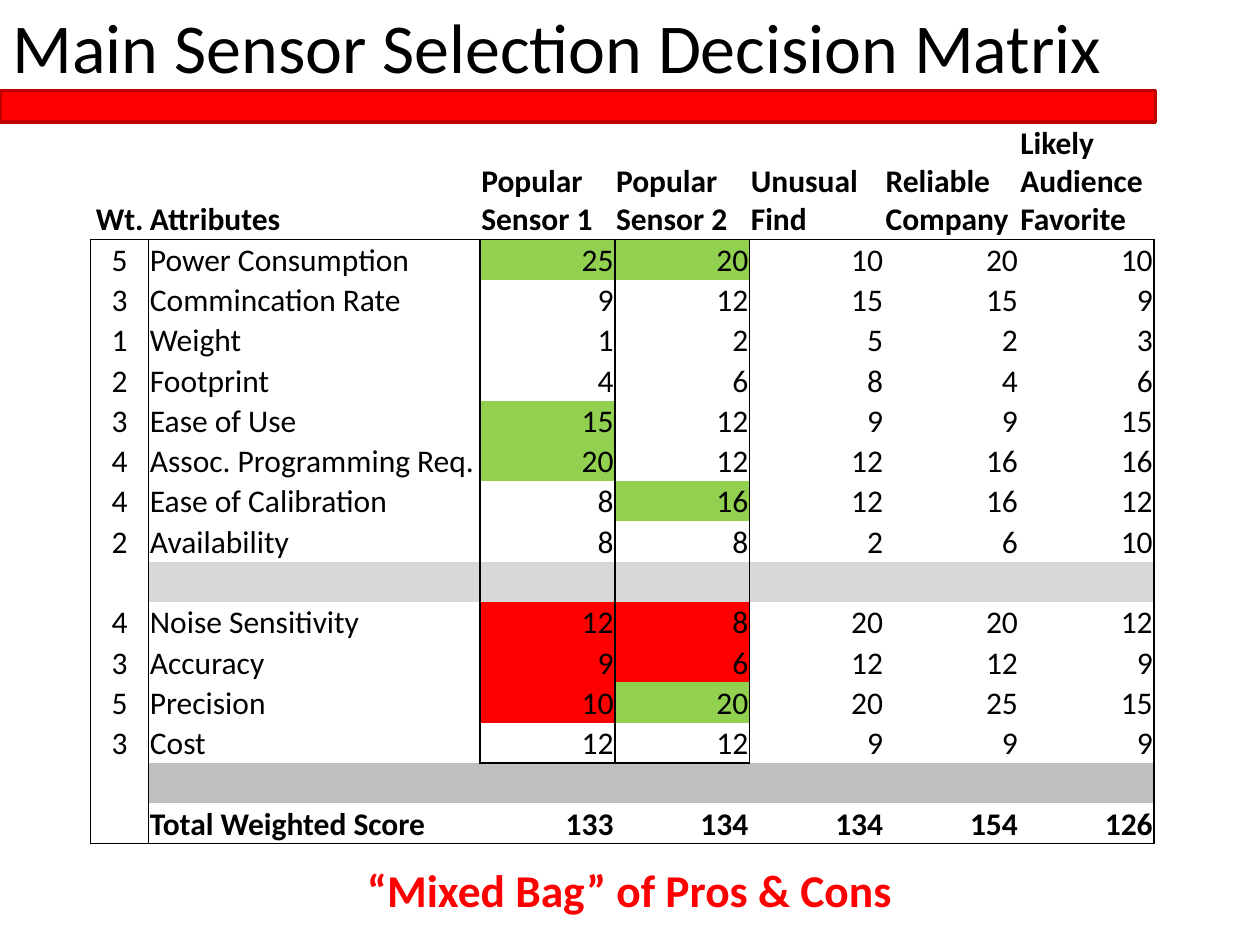
import pptx
import pptx.dml.color
import pptx.enum.shapes
import pptx.enum.text
import pptx.oxml
import pptx.oxml.ns
import pptx.util
from pptx.util import Inches

BLACK = pptx.dml.color.RGBColor(0x00, 0x00, 0x00)
RED = pptx.dml.color.RGBColor(0xFF, 0x00, 0x00)
DARK_RED = pptx.dml.color.RGBColor(0xC0, 0x00, 0x00)
GREEN = pptx.dml.color.RGBColor(0x92, 0xD0, 0x50)
LIGHT_GRAY = pptx.dml.color.RGBColor(0xD8, 0xD8, 0xD8)
GRAY = pptx.dml.color.RGBColor(0xBF, 0xBF, 0xBF)
ALIGN = pptx.enum.text.PP_ALIGN
ANCHOR = pptx.enum.text.MSO_ANCHOR

BLANK = ("",) * 7
MATRIX = [
    ("Wt.", "Attributes", "Popular Sensor 1", "Popular Sensor 2",
     "Unusual Find", "Reliable Company", "Likely Audience Favorite"),
    (5, "Power Consumption", 25, 20, 10, 20, 10),
    (3, "Commincation Rate", 9, 12, 15, 15, 9),
    (1, "Weight", 1, 2, 5, 2, 3),
    (2, "Footprint", 4, 6, 8, 4, 6),
    (3, "Ease of Use", 15, 12, 9, 9, 15),
    (4, "Assoc. Programming Req.", 20, 12, 12, 16, 16),
    (4, "Ease of Calibration", 8, 16, 12, 16, 12),
    (2, "Availability", 8, 8, 2, 6, 10),
    BLANK,
    (4, "Noise Sensitivity", 12, 8, 20, 20, 12),
    (3, "Accuracy", 9, 6, 12, 12, 9),
    (5, "Precision", 10, 20, 20, 25, 15),
    (3, "Cost", 12, 12, 9, 9, 9),
    BLANK,
    ("", "Total Weighted Score", 133, 134, 134, 154, 126),
]
COLUMN_WIDTHS = [0.46, 2.63] + [1.07] * 5
ROW_HEIGHTS = [0.98] + [0.32] * 15
COST_ROW = 13
LAST_ROW = len(MATRIX) - 1
SENSOR_COLUMNS = (2, 3)

HIGHLIGHTS = {cell: GREEN for cell in [(1, 2), (1, 3), (5, 2), (6, 2), (7, 3), (12, 3)]}
HIGHLIGHTS.update({cell: RED for cell in [(10, 2), (10, 3), (11, 2), (11, 3), (12, 2)]})
for separator, shade in ((9, LIGHT_GRAY), (14, GRAY)):
    HIGHLIGHTS.update({(separator, column): shade for column in range(1, 7)})


def has_vertical_rule(row, edge):
    if row == 0:
        return False
    return edge in (0, 1, 7) or (edge in (2, 3, 4) and row <= COST_ROW)


def has_horizontal_rule(edge, column):
    return edge in (1, LAST_ROW + 1) or (edge == COST_ROW + 1 and column in SENSOR_COLUMNS)


def column_alignment(row, column):
    if column == 0:
        return ALIGN.CENTER
    return ALIGN.LEFT if row == 0 or column == 1 else ALIGN.RIGHT


class SlideBuilder:
    font = "Calibri"

    def __init__(self, presentation):
        self.slide = presentation.slides.add_slide(presentation.slide_layouts[5])

    def format_text(self, text_frame, size, color=BLACK, bold=False, alignment=ALIGN.LEFT):
        for paragraph in text_frame.paragraphs:
            paragraph.alignment = alignment
            for run in paragraph.runs:
                run.font.name = self.font
                run.font.size = pptx.util.Pt(size)
                run.font.bold = bold
                run.font.color.rgb = color

    def title(self, text, left, top, width, height):
        shape = self.slide.shapes.title
        shape.left, shape.top = Inches(left), Inches(top)
        shape.width, shape.height = Inches(width), Inches(height)
        text_frame = shape.text_frame
        text_frame.text = text
        text_frame.word_wrap = False
        text_frame.auto_size = pptx.enum.text.MSO_AUTO_SIZE.NONE
        text_frame.vertical_anchor = ANCHOR.TOP
        self.format_text(text_frame, 40)

    def bar(self, left, top, width, height):
        shape = self.slide.shapes.add_shape(
            pptx.enum.shapes.MSO_SHAPE.RECTANGLE,
            Inches(left), Inches(top), Inches(width), Inches(height))
        shape.shadow.inherit = False
        shape.fill.solid()
        shape.fill.fore_color.rgb = RED
        shape.line.color.rgb = DARK_RED
        shape.line.width = pptx.util.Pt(2)

    def caption(self, text, left, top, width, height):
        shape = self.slide.shapes.add_textbox(
            Inches(left), Inches(top), Inches(width), Inches(height))
        shape.text_frame.text = text
        shape.text_frame.word_wrap = True
        self.format_text(shape.text_frame, 26, RED, True, ALIGN.CENTER)

    def cell_borders(self, cell, row, column):
        rules = {
            "lnL": has_vertical_rule(row, column),
            "lnR": has_vertical_rule(row, column + 1),
            "lnT": has_horizontal_rule(row, column),
            "lnB": has_horizontal_rule(row + 1, column),
        }
        properties = cell._tc.get_or_add_tcPr()
        for tag, visible in rules.items():
            paint = f'<a:solidFill><a:srgbClr val="{BLACK}"/></a:solidFill>' if visible else "<a:noFill/>"
            width = pptx.util.Pt(1) if visible else 0
            properties.append(pptx.oxml.parse_xml(
                f'<a:{tag} {pptx.oxml.ns.nsdecls("a")} w="{width}">{paint}</a:{tag}>'))

    def table_cell(self, cell, row, column):
        cell.text_frame.text = str(MATRIX[row][column])
        cell.vertical_anchor = ANCHOR.BOTTOM
        cell.margin_left = cell.margin_right = cell.margin_top = Inches(0.01)
        cell.margin_bottom = 0
        self.format_text(cell.text_frame, 18, bold=row in (0, LAST_ROW),
                         alignment=column_alignment(row, column))
        self.cell_borders(cell, row, column)
        if (row, column) in HIGHLIGHTS:
            cell.fill.solid()
            cell.fill.fore_color.rgb = HIGHLIGHTS[row, column]
        else:
            cell.fill.background()

    def decision_table(self, left, top):
        table = self.slide.shapes.add_table(
            len(MATRIX), len(COLUMN_WIDTHS), Inches(left), Inches(top),
            Inches(sum(COLUMN_WIDTHS)), Inches(sum(ROW_HEIGHTS))).table
        table.first_row = False
        table.horz_banding = False
        for column, width in zip(table.columns, COLUMN_WIDTHS):
            column.width = Inches(width)
        for row_index, (row, height) in enumerate(zip(table.rows, ROW_HEIGHTS)):
            row.height = Inches(height)
            for column_index, cell in enumerate(row.cells):
                self.table_cell(cell, row_index, column_index)


def main():
    presentation = pptx.Presentation()
    presentation.slide_width = Inches(10)
    presentation.slide_height = Inches(7.5)
    builder = SlideBuilder(presentation)
    builder.bar(0, 0.72, 9.17, 0.25)
    builder.title("Main Sensor Selection Decision Matrix", 0, -0.02, 8.93, 0.77)
    builder.decision_table(0.72, 0.92)
    builder.caption("“Mixed Bag” of Pros & Cons", 0, 6.79, 10, 0.54)
    presentation.save("out.pptx")


if __name__ == "__main__":
    main()
